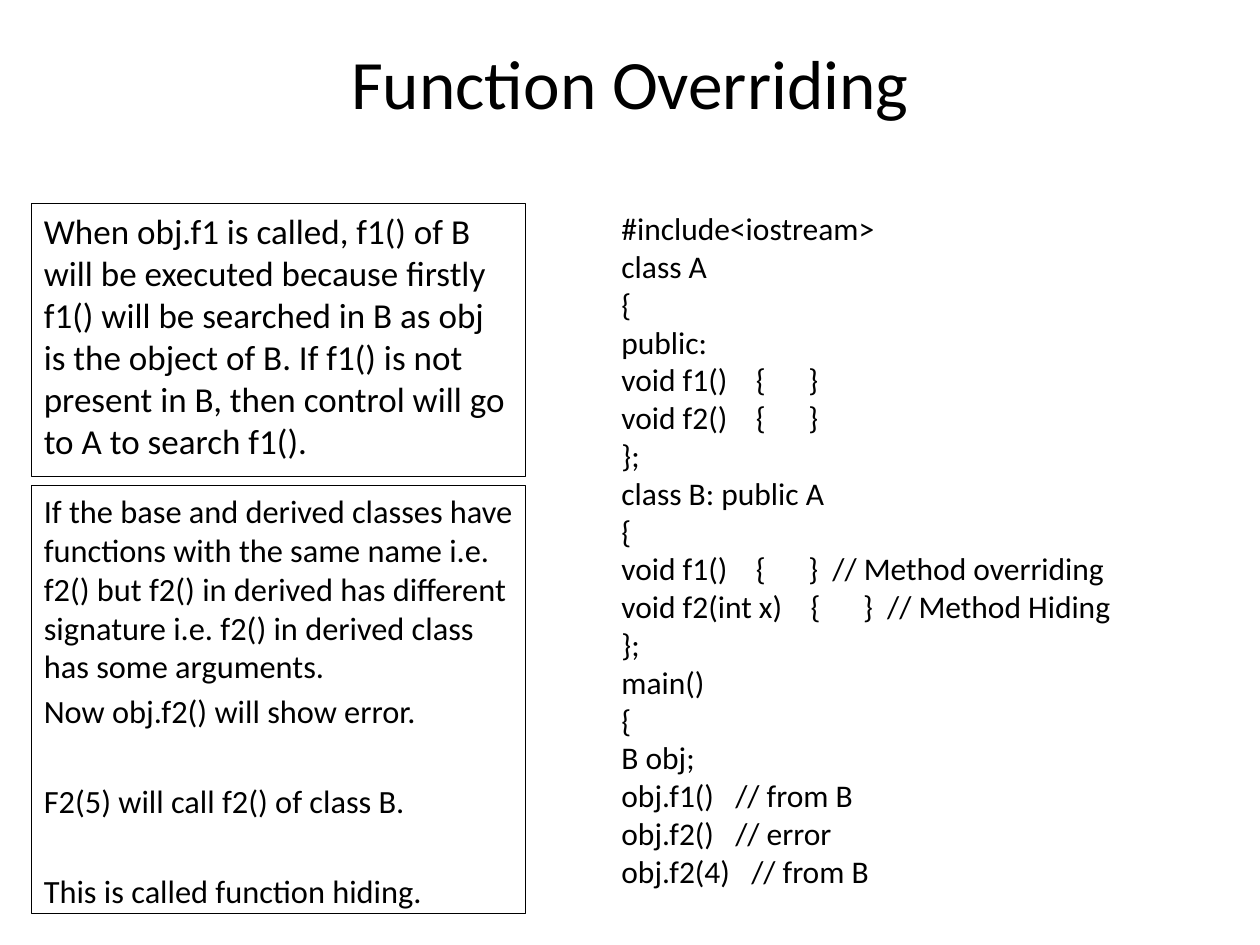
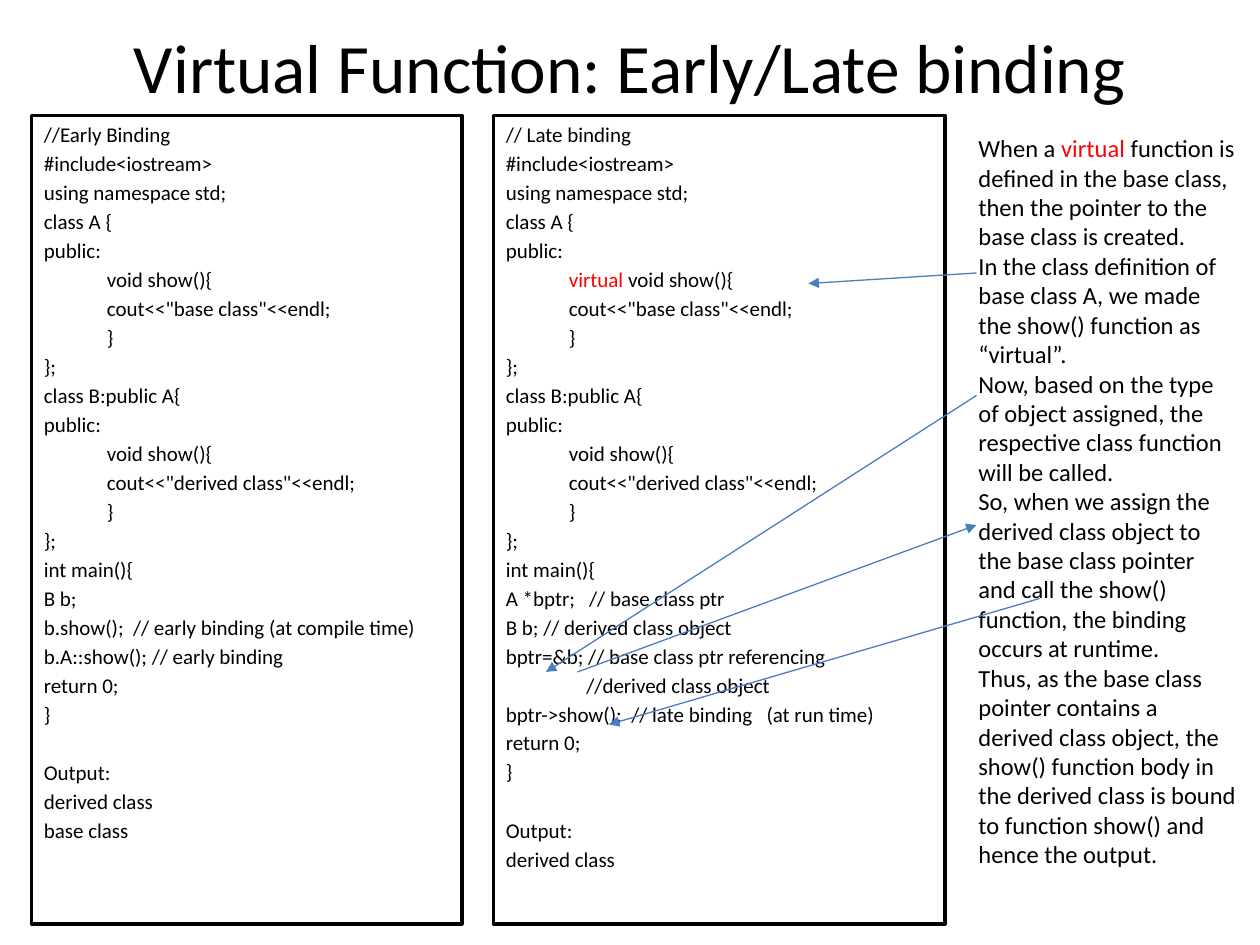
from lxml import etree
from pptx import Presentation
from pptx.dml.color import RGBColor
from pptx.enum.shapes import MSO_CONNECTOR, MSO_SHAPE
from pptx.enum.text import MSO_ANCHOR, PP_ALIGN
from pptx.oxml.ns import qn
from pptx.util import Pt

RECT, LINE = MSO_SHAPE.RECTANGLE, MSO_CONNECTOR.STRAIGHT
TOP, MIDDLE = MSO_ANCHOR.TOP, MSO_ANCHOR.MIDDLE
LEFT, CENTER = PP_ALIGN.LEFT, PP_ALIGN.CENTER

FONT = "Calibri"
COLORS = {"ink": "000000", "paper": "FFFFFF", "mark": "FF0000", "arrow": "4B7EBC"}
KEY = "virtual "    # keyword set in the mark colour
INDENT = 46         # left margin of a continued code comment
CONT = "//derived class object"

# An empty entry in a list of lines stands for one line of space.
CALLS = [
    "When obj.f1 is called, f1() of B will be executed because firstly f1() will be "
    "searched in B as obj is the object of B. If f1() is not present in B, then "
    "control will go to A to search f1().",
]
HIDING = [
    "If the base and derived classes have functions with the same name i.e. f2() but "
    "f2() in derived has different signature i.e. f2() in derived class has some "
    "arguments.",
    "Now obj.f2() will show error.",
    "",
    "F2(5) will call f2() of class B.",
    "",
    "This is called function hiding.",
]
SAMPLE = """#include<iostream>
class A
{
public:
void f1()    {      }
void f2()    {      }
};
class B: public A
{
void f1()    {      }  // Method overriding
void f2(int x)    {      }  // Method Hiding
};
main()
{
B obj;
obj.f1()   // from B
obj.f2()   // error
obj.f2(4)   // from B""".split("\n")

EARLY = [
    "B b;",
    "b.show();  // early binding (at compile time)",
    "b.A::show(); // early binding",
]
LATE = [
    "A *bptr;   // base class ptr",
    "B b; // derived class object",
    "bptr=&b; // base class ptr referencing",
    CONT,
    "bptr->show();  // late binding   (at run time)",
]
NOTES = [
    "When a virtual function is defined in the base class, then the pointer to the "
    "base class is created.",
    "In the class definition of base class A, we made the show() function as “virtual”.",
    "Now, based on the type of object assigned, the respective class function will be "
    "called.",
    "So, when we assign the derived class object to the base class pointer and call "
    "the show() function, the binding occurs at runtime.",
    "Thus, as the base class pointer contains a derived class object, the show() "
    "function body in the derived class is bound to function show() and hence the "
    "output.",
]
ARROWS = [
    (330, 384, 558, 300),
    (594, 342, 348, 414),
    (558, 226, 312, 384),
    (558, 156, 462, 162),
]


def color(name):
    return RGBColor.from_string(COLORS[name])


def show(head, word=""):
    """Lines of a class that prints its own name."""
    name = "derived" if "B" in head else "base"
    return [head, "public:", f"\t{word}void show(){{",
            f'\tcout<<"{name} class"<<endl;', "\t}", "};"]


def program(title, word, body, output):
    return [title, "#include<iostream>", "using namespace std;",
            *show("class A {", word), *show("class B:public A{"),
            "int main(){", *body, "return 0;", "}", "", "Output:", *output]


def write(shape, lines, size, space=0.0, align=LEFT, anchor=TOP):
    """Fill a shape with paragraphs; space is a share of the text size."""
    frame = shape.text_frame
    frame.word_wrap = True
    frame.vertical_anchor = anchor
    gap = 0
    for i, line in enumerate(lines):
        if not line:
            gap += (1.22 + space) * size
            continue
        para = frame.add_paragraph() if i else frame.paragraphs[0]
        para.alignment = align
        para.space_before = Pt(gap + space * size if i else 0)
        gap = 0
        if line == CONT:
            para._p.get_or_add_pPr().set("marL", str(Pt(INDENT)))
        for part in filter(None, line.partition(KEY)):
            run = para.add_run()
            run.text = part
            run.font.name = FONT
            run.font.size = Pt(size)
            run.font.color.rgb = color("mark" if part == KEY else "ink")


def text(slide, box, lines, size, **style):
    write(slide.shapes.add_textbox(*map(Pt, box)), lines, size, **style)


def panel(slide, box, lines, size, width):
    """Outlined white box with spaced lines."""
    shape = slide.shapes.add_shape(RECT, *map(Pt, box))
    shape.shadow.inherit = False
    shape.fill.solid()
    shape.fill.fore_color.rgb = color("paper")
    shape.line.color.rgb = color("ink")
    shape.line.width = Pt(width)
    write(shape, lines, size, space=0.18)


def arrow(slide, ends):
    link = slide.shapes.add_connector(LINE, *map(Pt, ends))
    link.line.color.rgb = color("arrow")
    link.line.width = Pt(0.75)
    etree.SubElement(link.line._get_or_add_ln(), qn("a:tailEnd"), type="triangle")
    etree.SubElement(link._element.spPr, qn("a:effectLst"))


def start(deck, title, height):
    """New blank slide with its title band."""
    slide = deck.slides.add_slide(deck.slide_layouts[6])
    text(slide, (36, 21.6, 648, height), [title], 39.6, align=CENTER, anchor=MIDDLE)
    return slide


def override(deck, box):
    left, top, width, height = box
    slide = start(deck, "Function Overriding", 50.4)
    # Explanations on the left
    split, gap = 156, 5
    panel(slide, (left, top, 282, split), CALLS, 20, 0.25)
    low = split + gap
    panel(slide, (left, top + low, 282, height - low), HIDING, 18.5, 0.25)
    # Code on the right
    text(slide, (left + 330, top, width - 330, 400), SAMPLE, 18)


def binding(deck, box):
    left, top, width, height = box
    slide = start(deck, "Virtual Function: Early/Late binding", 32.4)
    # The two programs
    early = program("//Early Binding", "", EARLY, ["derived class", "base class"])
    late = program("// Late binding", KEY, LATE, ["derived class"])
    panel(slide, (left, top, 246, height), early, 12, 2)
    panel(slide, (left + 264, top, 258, height), late, 12, 2)
    # Notes and the arrows that tie them to the code
    text(slide, (left + 534, top + 6.6, width - 534, 448), NOTES, 14)
    for ends in ARROWS:
        arrow(slide, ends)


def main():
    deck = Presentation()
    deck.slide_width, deck.slide_height = Pt(720), Pt(540)
    override(deck, (18, 116, 666, 406))
    binding(deck, (18, 66, 696, 462))
    deck.save("out.pptx")


if __name__ == "__main__":
    main()
